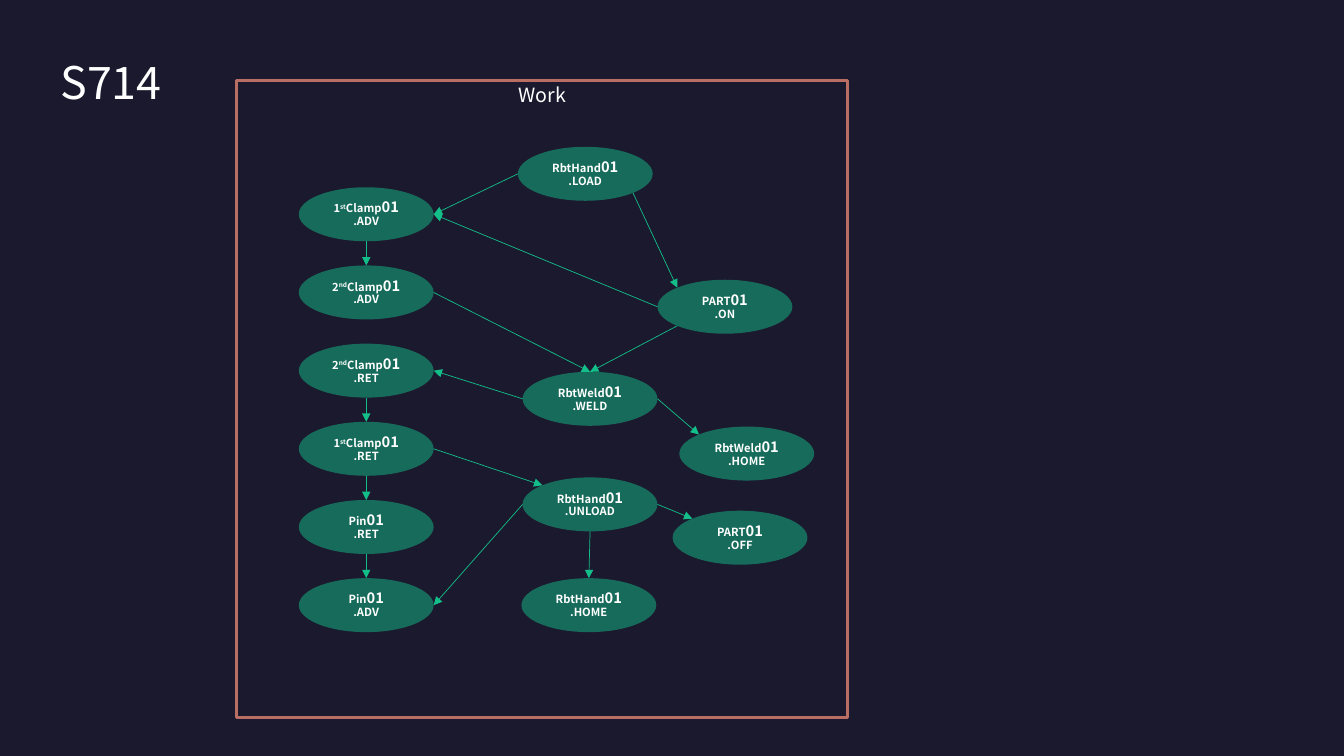
from math import sqrt

from lxml import etree
from pptx import Presentation
from pptx import util as u
from pptx.dml.color import RGBColor
from pptx.enum import shapes, text
from pptx.oxml import ns

FONT = "Noto Sans CJK KR"
COLORS = {"background": "1B192E", "frame": "B86E62", "step": "13BE89", "text": "FFFFFF"}

# Step size and left column, in centimetres
STEP_WIDTH, STEP_HEIGHT = 3.4, 1.36
COLUMN_LEFT, COLUMN_TOP, COLUMN_PITCH = 7.53, 4.72, 1.97

# Each device name is split into: plain, superscript, plain
FIRST_CLAMP = ("1", "st", "Clamp")
SECOND_CLAMP = ("2", "nd", "Clamp")
PIN, HAND, WELD, PART = [(name, "", "") for name in ("Pin", "RbtHand", "RbtWeld", "PART")]

COLUMN_STEPS = [
    ("clamp1 adv", FIRST_CLAMP, ".ADV"),
    ("clamp2 adv", SECOND_CLAMP, ".ADV"),
    ("clamp2 ret", SECOND_CLAMP, ".RET"),
    ("clamp1 ret", FIRST_CLAMP, ".RET"),
    ("pin ret", PIN, ".RET"),
    ("pin adv", PIN, ".ADV"),
]
OTHER_STEPS = [
    ("hand load", HAND, ".LOAD", 13.05, 3.7),
    ("part on", PART, ".ON", 16.57, 7.05),
    ("weld", WELD, ".WELD", 13.17, 9.37),
    ("weld home", WELD, ".HOME", 17.12, 10.75),
    ("hand unload", HAND, ".UNLOAD", 13.17, 12.03),
    ("part off", PART, ".OFF", 16.95, 12.87),
    ("hand home", HAND, ".HOME", 13.14, 14.57),
]

# Points on an ellipse, as fractions of its half width and half height
DIAGONAL = sqrt(0.5)
SITES = {
    "top": (0, -1), "bottom": (0, 1), "left": (-1, 0), "right": (1, 0),
    "top left": (-DIAGONAL, -DIAGONAL),
    "bottom left": (-DIAGONAL, DIAGONAL),
    "bottom right": (DIAGONAL, DIAGONAL),
}
ARROWS = [
    ("clamp1 adv", "bottom", "clamp2 adv", "top"),
    ("clamp2 ret", "bottom", "clamp1 ret", "top"),
    ("clamp1 ret", "bottom", "pin ret", "top"),
    ("pin ret", "bottom", "pin adv", "top"),
    ("part on", "bottom left", "weld", "top"),
    ("hand load", "bottom right", "part on", "top left"),
    ("part on", "left", "clamp1 adv", "right"),
    ("hand load", "left", "clamp1 adv", "right"),
    ("weld", "left", "clamp2 ret", "right"),
    ("hand unload", "left", "pin adv", "right"),
    ("clamp2 adv", "right", "weld", "top"),
    ("clamp1 ret", "right", "hand unload", "top left"),
    ("hand unload", "right", "part off", "top left"),
    ("hand unload", "bottom", "hand home", "top"),
    ("weld", "right", "weld home", "top left"),
]


def color(name):
    return RGBColor.from_string(COLORS[name])


def format_paragraph(paragraph, size, alignment=text.PP_ALIGN.CENTER, bold=False):
    paragraph.alignment = alignment
    paragraph.line_spacing = 0.9
    for run in paragraph.runs:
        run.font.name = FONT
        run.font.size = u.Pt(size)
        run.font.bold = bold
        run.font.color.rgb = color("text")


def add_title(slide, caption):
    title = slide.shapes.title
    title.left, title.top = u.Cm(1.52), u.Cm(1.52)
    title.width, title.height = u.Cm(30.81), u.Cm(1.47)
    frame = title.text_frame
    frame.text = caption
    frame.margin_left = frame.margin_top = frame.margin_right = frame.margin_bottom = 0
    frame.vertical_anchor = text.MSO_ANCHOR.TOP
    frame.auto_size = text.MSO_AUTO_SIZE.NONE
    format_paragraph(frame.paragraphs[0], 32, text.PP_ALIGN.LEFT)


def add_frame(slide, caption):
    shape = slide.shapes.add_shape(
        shapes.MSO_SHAPE.RECTANGLE, u.Cm(5.97), u.Cm(2.03), u.Cm(15.39), u.Cm(16.05))
    shape.shadow.inherit = False
    shape.fill.background()
    shape.line.color.rgb = color("frame")
    shape.line.width = u.Pt(2.25)
    shape.text_frame.text = caption
    shape.text_frame.vertical_anchor = text.MSO_ANCHOR.TOP
    format_paragraph(shape.text_frame.paragraphs[0], 14)


def add_step(slide, device, action, left, top):
    shape = slide.shapes.add_shape(
        shapes.MSO_SHAPE.OVAL, u.Cm(left), u.Cm(top), u.Cm(STEP_WIDTH), u.Cm(STEP_HEIGHT))
    shape.shadow.inherit = False
    shape.line.fill.background()
    shape.fill.solid()
    shape.fill.fore_color.rgb = color("step")
    fill_color = shape.fill._xPr.find(".//" + ns.qn("a:srgbClr"))
    etree.SubElement(fill_color, ns.qn("a:alpha"), val="50000")

    frame = shape.text_frame
    frame.vertical_anchor = text.MSO_ANCHOR.MIDDLE
    name_line, action_line = frame.paragraphs[0], frame.add_paragraph()
    start, ordinal, rest = device
    for part in filter(None, (start, ordinal, rest, "01")):
        name_line.add_run().text = part
    action_line.text = action
    for paragraph in frame.paragraphs:
        format_paragraph(paragraph, 8, bold=True)
    name_line.runs[-1].font.size = u.Pt(10.5)
    if ordinal:
        name_line.runs[1]._r.get_or_add_rPr().set("baseline", "30000")
    return shape


def site_point(shape, site):
    across, down = SITES[site]
    return (round(shape.left + shape.width * (1 + across) / 2),
            round(shape.top + shape.height * (1 + down) / 2))


def add_arrow(slide, start, end):
    connector = slide.shapes.add_connector(shapes.MSO_CONNECTOR.STRAIGHT, *start, *end)
    connector.line.color.rgb = color("step")
    connector.line.width = u.Pt(0.5)
    etree.SubElement(connector.line._get_or_add_ln(), ns.qn("a:tailEnd"), type="triangle")
    etree.SubElement(connector._element.spPr, ns.qn("a:effectLst"))


def main():
    presentation = Presentation()
    presentation.slide_width, presentation.slide_height = u.Cm(33.87), u.Cm(19.05)
    slide = presentation.slides.add_slide(presentation.slide_layouts[5])
    slide.background.fill.solid()
    slide.background.fill.fore_color.rgb = color("background")

    # Title and work area
    add_title(slide, "S714")
    add_frame(slide, "Work")

    # Work steps
    steps = {}
    for row, (key, device, action) in enumerate(COLUMN_STEPS):
        top = COLUMN_TOP + row * COLUMN_PITCH
        steps[key] = add_step(slide, device, action, COLUMN_LEFT, top)
    for key, device, action, left, top in OTHER_STEPS:
        steps[key] = add_step(slide, device, action, left, top)

    # Order of the steps
    for source, source_site, target, target_site in ARROWS:
        add_arrow(slide, site_point(steps[source], source_site),
                  site_point(steps[target], target_site))

    presentation.save("out.pptx")


if __name__ == "__main__":
    main()
